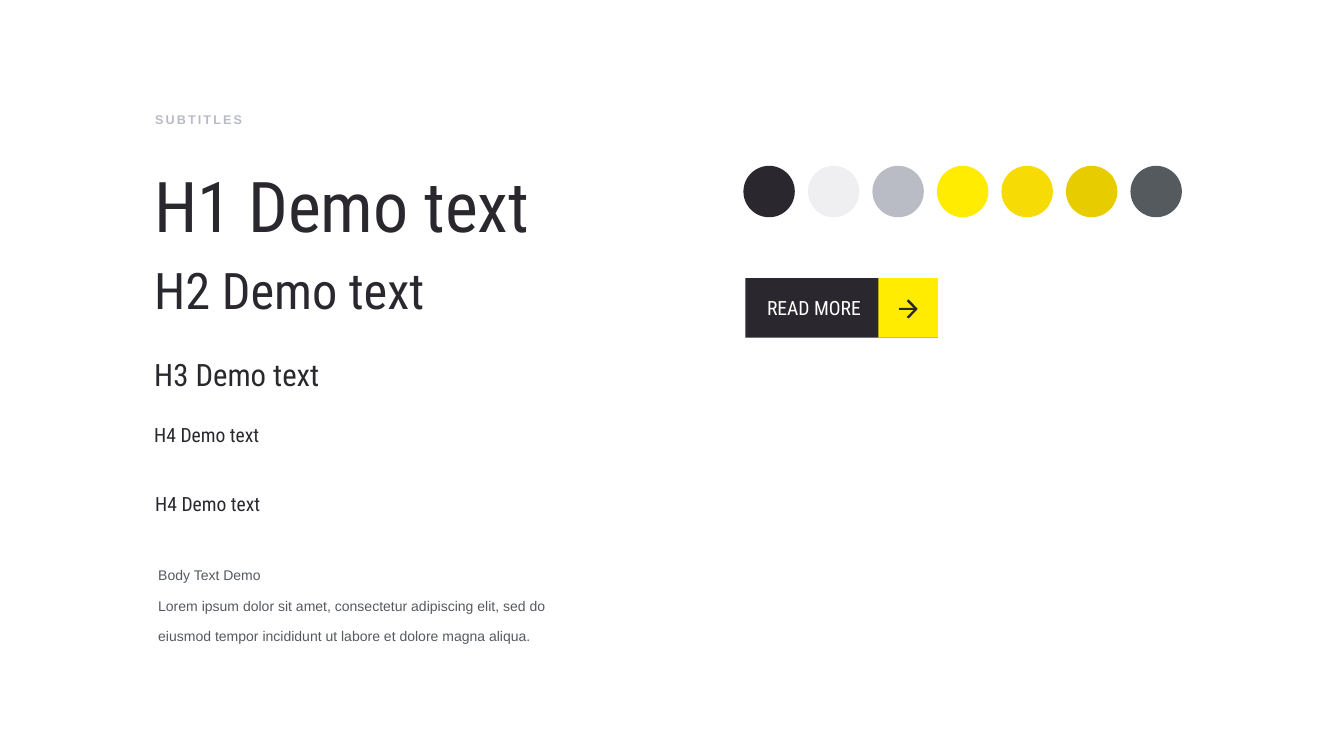
from pptx import Presentation
from pptx.dml.color import RGBColor
from pptx.enum.shapes import MSO_SHAPE
from pptx.enum.text import MSO_ANCHOR, MSO_AUTO_SIZE, PP_ALIGN
from pptx.util import Inches, Pt

INK = RGBColor(0x2A, 0x28, 0x2E)
COAL = RGBColor(0x2A, 0x27, 0x2E)
PALE = RGBColor(0xEF, 0xEF, 0xF1)
GREY = RGBColor(0xB9, 0xBB, 0xC5)
LEMON = RGBColor(0xFF, 0xEC, 0x00)
GOLD = RGBColor(0xF6, 0xDB, 0x04)
OCHRE = RGBColor(0xE7, 0xCC, 0x00)
SLATE = RGBColor(0x55, 0x5A, 0x5F)
WHITE = RGBColor(0xFE, 0xFF, 0xFE)
HEAD, BODY = "Roboto Condensed", "Arial"
COLS, ROWS = 80, 45


class Guide:
    """Draws style guide elements on a slide divided into 80 columns and 45 rows."""

    def __init__(self, deck):
        self.slide = deck.slides.add_slide(deck.slide_layouts[5])
        self.shapes = self.slide.shapes
        self.col = deck.slide_width / COLS
        self.row = deck.slide_height / ROWS

    def place(self, left, top, width, height):
        return (round(left * self.col), round(top * self.row),
                round(width * self.col), round(height * self.row))

    def label(self, shape, text, size, color, font=HEAD, inset=(0.04,) * 4,
              line=None, anchor=MSO_ANCHOR.TOP, bold=False, track=0):
        frame = shape.text_frame
        frame.text = text
        frame.word_wrap = True
        frame.auto_size = MSO_AUTO_SIZE.NONE
        frame.vertical_anchor = anchor
        (frame.margin_left, frame.margin_top, frame.margin_right,
         frame.margin_bottom) = map(Inches, inset)
        for para in frame.paragraphs:
            para.alignment = PP_ALIGN.LEFT
            para.line_spacing = line
            for run in para.runs:
                run.font.name = font
                run.font.size = Pt(size)
                run.font.bold = bold
                run.font.color.rgb = color
                if track:
                    run.font._element.set("spc", str(track * 100))

    def title(self, text, box, size):
        shape = self.shapes.title
        shape.left, shape.top, shape.width, shape.height = self.place(*box)
        self.label(shape, text, size, INK, line=1.2)

    def text(self, text, box, size, color=INK, **style):
        self.label(self.shapes.add_textbox(*self.place(*box)), text, size, color, **style)

    def paint(self, shape, color):
        shape.shadow.inherit = False
        shape.fill.solid()
        shape.fill.fore_color.rgb = color
        shape.line.fill.background()
        return shape

    def block(self, kind, box, color):
        return self.paint(self.shapes.add_shape(kind, *self.place(*box)), color)

    def arrow(self, left, mid, color):
        half = [(0.57, 0.57), (0.45, 0.47), (0.87, 0.06), (0, 0.06)]
        points = [(x, -y) for x, y in half] + half[::-1] + [(1.11, 0)]
        spots = [((left + x) * self.col, (mid + y) * self.row) for x, y in points]
        pen = self.shapes.build_freeform(*map(round, spots[0]))
        pen.add_line_segments(spots[1:], close=True)
        self.paint(pen.convert_to_shape(), color)

    def button(self, text, left, top, width, side):
        base = self.block(MSO_SHAPE.ROUNDED_RECTANGLE, (left, top, width, side), COAL)
        base.adjustments[0] = 0
        self.label(base, text, 28, WHITE, inset=(0.43, 0.2, 0.2, 0.2),
                   anchor=MSO_ANCHOR.MIDDLE)
        edge = left + width - side
        self.block(MSO_SHAPE.RECTANGLE, (edge, top, side, side), LEMON)
        self.arrow(edge + 1.23, top + 1.83, COAL)


def main():
    deck = Presentation()
    deck.slide_width, deck.slide_height = Inches(26.67), Inches(15)
    guide = Guide(deck)
    guide.title("H1 Demo text", (9.06, 8.55, 30.96, 5.19), 100)
    heads = [
        ("H2 Demo text", 9.06, 14.58, 5.19, 72),
        ("H3 Demo text", 9.06, 20.61, 3.3, 44),
        ("H4 Demo text", 9.06, 24.75, 3.3, 28),
        ("H4 Demo text", 9.12, 28.86, 3.3, 28),
    ]
    for text, left, top, height, size in heads:
        guide.text(text, (left, top, 30.96, height), size, line=1.2)
    guide.text("Body Text Demo\nLorem ipsum dolor sit amet, consectetur adipiscing elit, "
               "sed do eiusmod tempor incididunt ut labore et dolore magna aliqua.",
               (9.12, 32.79, 26.64, 5.52), 20, SLATE, font=BODY, line=1.8,
               inset=(0.1, 0.05, 0.1, 0.05))
    guide.text("SUBTITLES", (9.12, 6.51, 18.36, 1.17), 18, GREY, font=BODY,
               anchor=MSO_ANCHOR.MIDDLE, bold=True, track=3)
    for i, color in enumerate([INK, PALE, GREY, LEMON, GOLD, OCHRE, SLATE]):
        guide.block(MSO_SHAPE.OVAL, (44.25 + 3.84 * i, 9.87, 3.06, 3.06), color)
    guide.button("READ MORE", 44.37, 16.56, 11.46, 3.54)
    deck.save("out.pptx")


if __name__ == "__main__":
    main()
